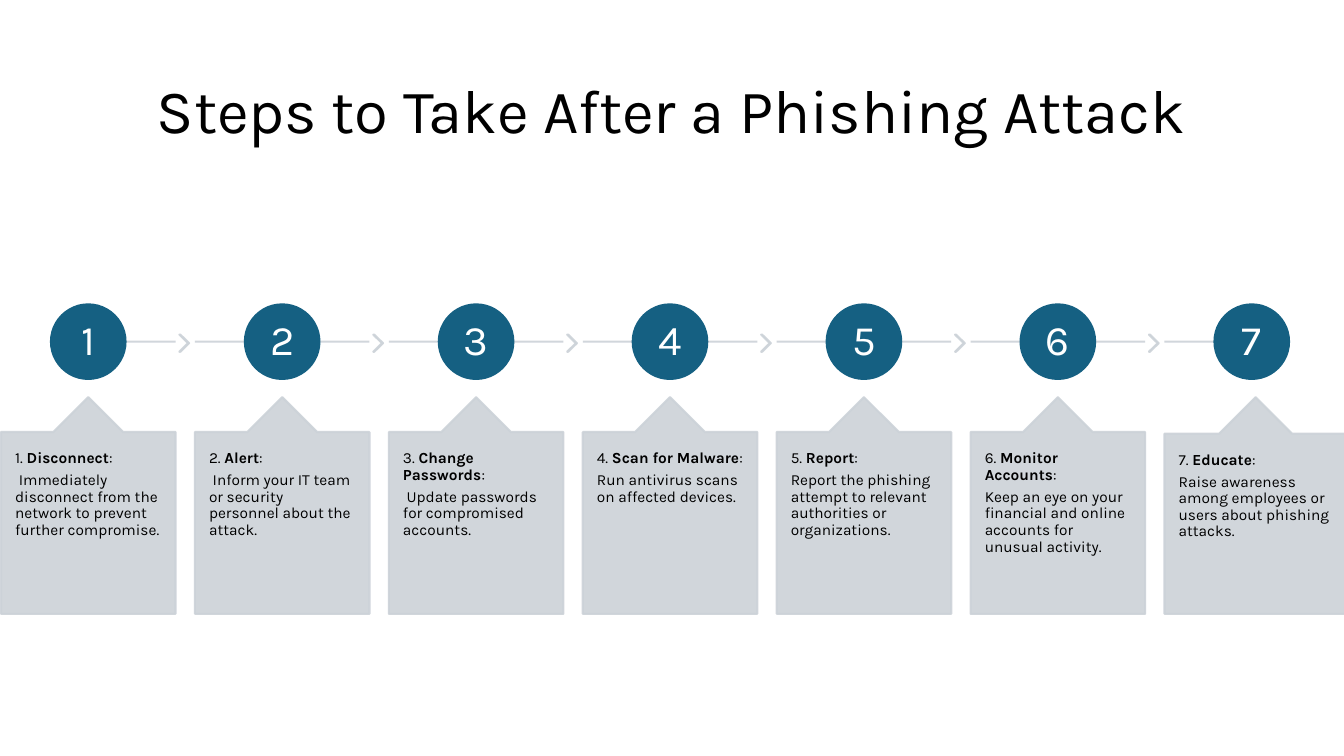
from pptx import Presentation
from pptx.dml.color import RGBColor
from pptx.enum.shapes import MSO_CONNECTOR, MSO_SHAPE
from pptx.enum.text import MSO_ANCHOR, PP_ALIGN
from pptx.oxml.ns import qn
from pptx.util import Inches, Pt
from lxml.etree import SubElement

STEPS = [
    ("Disconnect", " Immediately disconnect from the network to prevent further compromise."),
    ("Alert", " Inform your IT team or security personnel about the attack."),
    ("Change Passwords", " Update passwords for compromised accounts."),
    ("Scan for Malware", "Run antivirus scans on affected devices."),
    ("Report", "Report the phishing attempt to relevant authorities or organizations."),
    ("Monitor Accounts", "Keep an eye on your financial and online accounts for unusual activity."),
    ("Educate", "Raise awareness among employees or users about phishing attacks."),
]


def rgb(value):
    return RGBColor.from_string(value)


class Deck:
    FONT, BLACK, WHITE = "Karla", "000000", "FFFFFF"
    BLUE, GREY, OPACITY = "156082", "CCD2D8", 90
    LEFT, COL = 0.01, 11.54 / 6  # seven columns, the last one starting at 11.55
    ROW = 7.5 / 50

    def __init__(self, s):
        self.s = s

    def box(self, x, y, w, h):
        """Columns and rows to lengths."""
        return (Inches(self.LEFT + x * self.COL), Inches(y * self.ROW),
                Inches(w * self.COL), Inches(h * self.ROW))

    def fade(self, sp):
        for clr in sp._element.spPr.iter(qn("a:srgbClr")):
            SubElement(clr, qn("a:alpha")).set("val", str(self.OPACITY * 1000))

    def shape(self, kind, box, color, adjustments=()):
        sp = self.s.shapes.add_shape(kind, *box)
        sp.shadow.inherit = False
        sp.fill.solid()
        sp.fill.fore_color.rgb = rgb(color)
        sp.line.color.rgb = rgb(color)
        sp.line.width = Pt(1.5)
        for i, value in enumerate(adjustments):
            sp.adjustments[i] = value
        if color == self.GREY:
            self.fade(sp)
        return sp

    def line(self, x1, x2, y):
        left, top, width, _ = self.box(x1, y, x2 - x1, 0)
        c = self.s.shapes.add_connector(MSO_CONNECTOR.STRAIGHT, left, top, left + width, top)
        c.line.color.rgb = rgb(self.GREY)
        c.line.width = Pt(1.5)
        SubElement(c._element.spPr, qn("a:effectLst"))
        self.fade(c)

    def text(self, box, paragraphs, size, color=BLACK, align=PP_ALIGN.LEFT,
             anchor=MSO_ANCHOR.MIDDLE, insets=(0.1, 0.05), after=0.35):
        """Each paragraph is a list of (text, bold) runs."""
        tf = self.s.shapes.add_textbox(*box).text_frame
        tf.word_wrap = True
        tf.vertical_anchor = anchor
        tf.margin_left = tf.margin_right = Inches(insets[0])
        tf.margin_top = tf.margin_bottom = Inches(insets[1])
        for i, runs in enumerate(paragraphs):
            p = tf.add_paragraph() if i else tf.paragraphs[0]
            p.alignment = align
            p.line_spacing = 0.9
            p.space_after = Pt(after * size)
            p.font.name, p.font.size = self.FONT, Pt(size)
            p.font.color.rgb = rgb(color)
            for content, bold in runs:
                r = p.add_run()
                r.text = content
                if bold:
                    r.font.bold = True

    def title(self, content):
        self.text(self.box(0.47, 2.67, 5.98, 9.67), [[(content, False)]], 44,
                  align=PP_ALIGN.CENTER, after=0)

    def badge(self, x, y, number):
        for rows in (4.93, 3.47):  # circle, then the number inside it
            w = rows * self.ROW / self.COL
            box = self.box(x - w / 2, y - rows / 2, w, rows)
            if rows == 4.93:
                self.shape(MSO_SHAPE.OVAL, box, self.BLUE)
            else:
                self.text(box, [[(str(number), False)]], 30, self.WHITE,
                          PP_ALIGN.CENTER, insets=(0.03, 0.03))

    def callout(self, x, w, number, heading, body):
        top, height = 26.27, 14.33
        tip = 0.2 * w * self.COL / self.ROW
        self.shape(MSO_SHAPE.UP_ARROW_CALLOUT, self.box(x, top, w, height),
                   self.GREY, (0.5, 0.2, 0.2, 1))
        self.text(self.box(x, top + tip, w, height - tip),
                  [[(f"{number}. ", False), (heading, True), (":", False)], [(body, False)]],
                  11, anchor=MSO_ANCHOR.TOP, insets=(0.14, 0.18))


def main():
    prs = Presentation()
    prs.slide_width, prs.slide_height = Inches(13.33), Inches(7.5)
    deck = Deck(prs.slides.add_slide(prs.slide_layouts[6]))

    # Title
    deck.title("Steps to Take After a Phishing Attack")

    # Timeline: line, chevron, numbered circle and callout per column
    width, axis, last = 0.9, 22.6, len(STEPS) - 1
    for i, (heading, body) in enumerate(STEPS):
        start = i + (0.5 if i == 0 else 0)
        end = i + (width / 2 if i == last else width)
        deck.line(start, end, axis)
        if i < last:
            deck.shape(MSO_SHAPE.CHEVRON, deck.box(i + 0.92, axis - 0.47, 0.05, 1.13),
                       deck.GREY, (0.9,))
        deck.badge(i + width / 2, axis, i + 1)
        deck.callout(i, 0.94 if i == last else width, i + 1, heading, body)

    prs.save("out.pptx")


if __name__ == "__main__":
    main()
